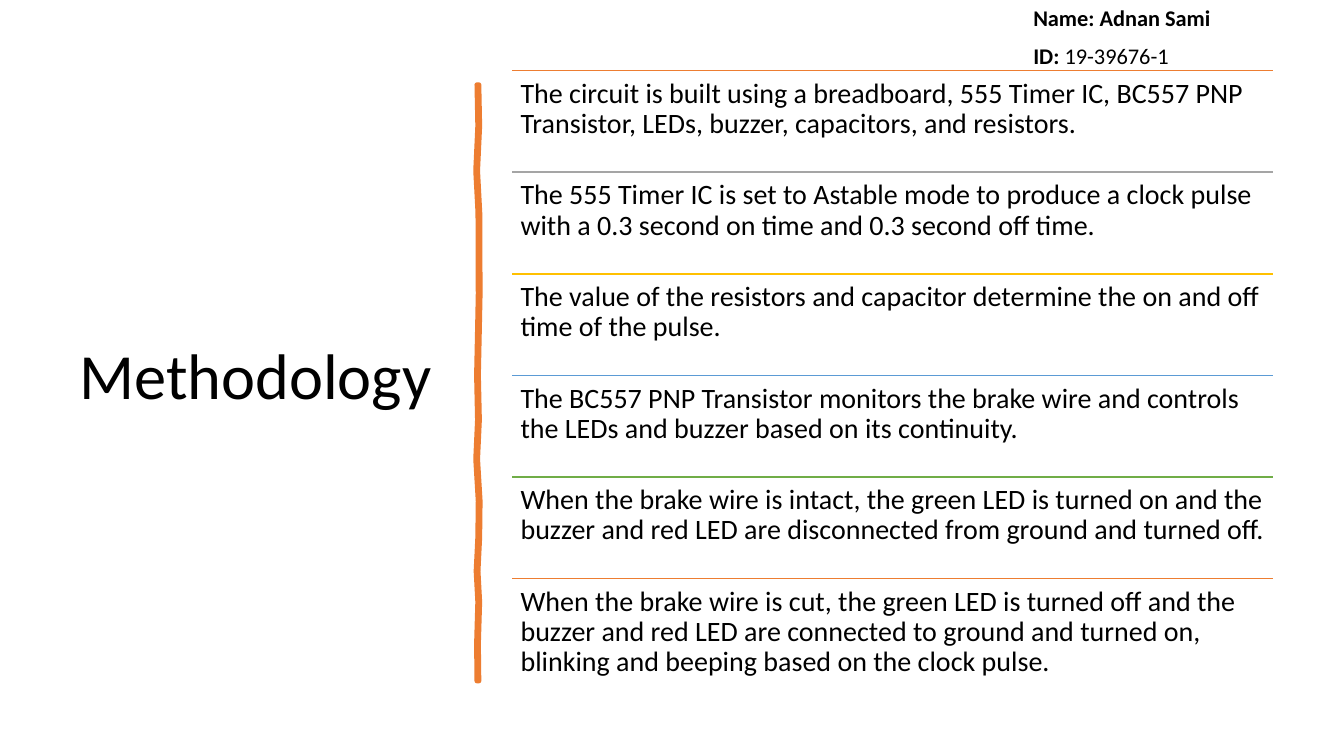
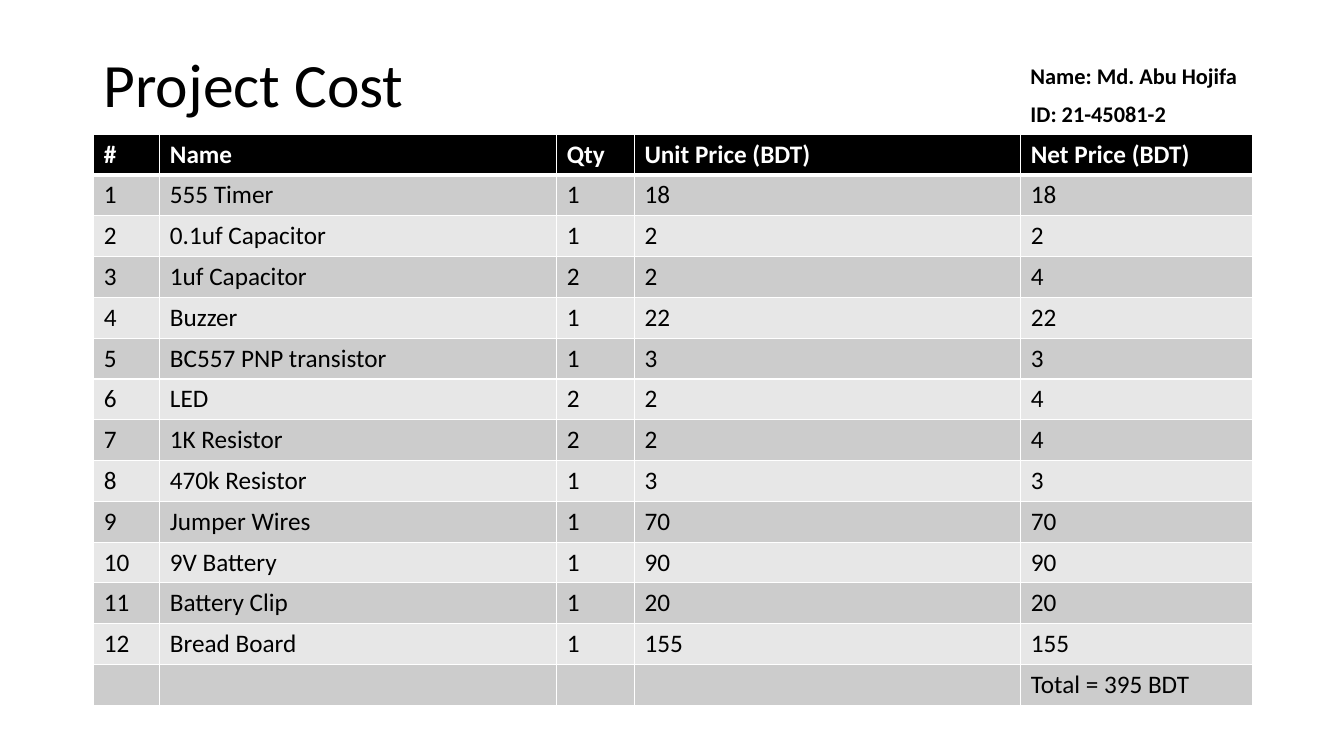
import pptx
import pptx.dml.color
import pptx.enum.shapes
import pptx.enum.text
import pptx.oxml
import pptx.oxml.ns
import pptx.util

Pt = pptx.util.Pt
ANCHOR = pptx.enum.text.MSO_ANCHOR

FONT = "Calibri"
BLACK, WHITE, ORANGE = "000000", "FFFFFF", "ED7D31"
BANDS = ("CCCCCC", "E7E7E7")

STEPS = [
    (ORANGE, "The circuit is built using a breadboard, 555 Timer IC, BC557 PNP Transistor, "
             "LEDs, buzzer, capacitors, and resistors."),
    ("A5A5A5", "The 555 Timer IC is set to Astable mode to produce a clock pulse with a "
               "0.3 second on time and 0.3 second off time."),
    ("FFC000", "The value of the resistors and capacitor determine the on and off time of the pulse."),
    ("5B9BD5", "The BC557 PNP Transistor monitors the brake wire and controls the LEDs and "
               "buzzer based on its continuity."),
    ("70AD47", "When the brake wire is intact, the green LED is turned on and the buzzer and "
               "red LED are disconnected from ground and turned off."),
    (ORANGE, "When the brake wire is cut, the green LED is turned off and the buzzer and red LED "
             "are connected to ground and turned on, blinking and beeping based on the clock pulse."),
]
STEP_LEFT, STEP_TOP, STEP_WIDTH, STEP_HEIGHT = 365.8, 50.4, 543.6, 72.6

# Brush stroke: height on the slide, sideways drift of its centre
STROKE_X, STROKE_HALF_WIDTH = 341.4, 0.8
STROKE = [(60.5, 0), (90, 0.6), (122, -0.9), (152, 0.7), (210, 0.9), (240, 0.3), (268, -0.3),
          (300, 0.4), (328, -0.9), (358, 0.9), (384, 0.6), (408, -0.6), (430, 0.6), (460, -0.3),
          (486.5, 0)]

COST_HEADER = ["#", "Name", "Qty", "Unit Price (BDT)", "Net Price (BDT)"]
PARTS = [  # name, quantity, unit price
    ("555 Timer", 1, 18),
    ("0.1uf Capacitor", 1, 2),
    ("1uf Capacitor", 2, 2),
    ("Buzzer", 1, 22),
    ("BC557 PNP transistor", 1, 3),
    ("LED", 2, 2),
    ("1K Resistor", 2, 2),
    ("470k Resistor", 1, 3),
    ("Jumper Wires", 1, 70),
    ("9V Battery", 1, 90),
    ("Battery Clip", 1, 20),
    ("Bread Board", 1, 155),
]
COLUMN_WIDTHS = [47.2, 283.5, 55.5, 276, 165.6]
ROW_HEIGHT = 29.16


def color(value):
    return pptx.dml.color.RGBColor.from_string(value)


def format_run(run, size, value=BLACK, bold=False):
    run.font.name = FONT
    run.font.size = Pt(size)
    run.font.color.rgb = color(value)
    run.font.bold = bold


def add_text(slide, box, paragraphs, size, inset=(7.2, 3.6), anchor=ANCHOR.TOP):
    """Add a text box; each paragraph is a list of (text, bold) runs."""
    frame = slide.shapes.add_textbox(*map(Pt, box)).text_frame
    frame.word_wrap = True
    frame.vertical_anchor = anchor
    frame.margin_left = frame.margin_right = Pt(inset[0])
    frame.margin_top = frame.margin_bottom = Pt(inset[1])
    for index, runs in enumerate(paragraphs):
        paragraph = frame.add_paragraph() if index else frame.paragraphs[0]
        paragraph.line_spacing = 0.9
        paragraph.space_before = Pt(10 if index else 0)
        for text, bold in runs:
            run = paragraph.add_run()
            run.text = text
            format_run(run, size, bold=bold)


def add_title(slide, box, text, size):
    add_text(slide, box, [[(text, False)]], size, anchor=ANCHOR.MIDDLE)


def add_author(slide, left, top, name, number, bold_number):
    add_text(slide, (left, top, 166, 52),
             [[("Name: " + name, True)], [("ID: ", True), (number, bold_number)]], 16)


def add_divider(slide, left, top, width, value):
    line = slide.shapes.add_connector(pptx.enum.shapes.MSO_CONNECTOR.STRAIGHT,
                                      Pt(left), Pt(top), Pt(left + width), Pt(top))
    line.line.color.rgb = color(value)
    line.line.width = Pt(1)
    line._element.spPr.append(pptx.oxml.parse_xml(
        f'<a:effectLst {pptx.oxml.ns.nsdecls("a")}/>'))


def add_brush_stroke(slide):
    right = [(STROKE_X + drift + STROKE_HALF_WIDTH, y) for y, drift in STROKE]
    left = [(STROKE_X + drift - STROKE_HALF_WIDTH, y) for y, drift in reversed(STROKE)]
    outline = [(Pt(x), Pt(y)) for x, y in right + left]
    builder = slide.shapes.build_freeform(*outline[0])
    builder.add_line_segments(outline[1:], close=True)
    stroke = builder.convert_to_shape()
    stroke.shadow.inherit = False
    stroke.fill.solid()
    stroke.fill.fore_color.rgb = color(ORANGE)
    stroke.line.color.rgb = color(ORANGE)
    stroke.line.width = Pt(3.25)
    stroke.line._get_or_add_ln().append(pptx.oxml.parse_xml(
        f'<a:round {pptx.oxml.ns.nsdecls("a")}/>'))


def set_borders(cell, top, bottom):
    """Draw white cell borders; top and bottom are widths in points."""
    for side, width in (("L", 1), ("R", 1), ("T", top), ("B", bottom)):
        cell._tc.get_or_add_tcPr().append(pptx.oxml.parse_xml(
            f'<a:ln{side} {pptx.oxml.ns.nsdecls("a")} w="{Pt(width)}"><a:solidFill>'
            f'<a:srgbClr val="{WHITE}"/></a:solidFill></a:ln{side}>'))


def add_cost_table(slide, left, top):
    rows = [COST_HEADER]
    rows += [(number, name, quantity, price, quantity * price)
             for number, (name, quantity, price) in enumerate(PARTS, 1)]
    total = sum(quantity * price for _, quantity, price in PARTS)
    rows.append(("", "", "", "", f"Total = {total} BDT"))
    table = slide.shapes.add_table(len(rows), len(COLUMN_WIDTHS), Pt(left), Pt(top),
                                   Pt(sum(COLUMN_WIDTHS)), Pt(ROW_HEIGHT * len(rows))).table
    for column, width in zip(table.columns, COLUMN_WIDTHS):
        column.width = Pt(width)
    for row_index, values in enumerate(rows):
        table.rows[row_index].height = Pt(ROW_HEIGHT)
        header = row_index == 0
        for column_index, value in enumerate(values):
            cell = table.cell(row_index, column_index)
            set_borders(cell, 3 if row_index == 1 else 1, 3 if header else 1)
            cell.fill.solid()
            cell.fill.fore_color.rgb = color(BLACK if header else BANDS[(row_index - 1) % 2])
            cell.text_frame.text = str(value)
            for run in cell.text_frame.paragraphs[0].runs:
                format_run(run, 18, WHITE if header else BLACK, header)


def build_methodology(slide):
    add_title(slide, (49.7, 50.4, 269.3, 440), "Methodology", 46)
    add_brush_stroke(slide)
    for index, (value, text) in enumerate(STEPS):
        top = STEP_TOP + index * STEP_HEIGHT
        add_divider(slide, STEP_LEFT, top, STEP_WIDTH, value)
        add_text(slide, (STEP_LEFT, top, STEP_WIDTH, STEP_HEIGHT), [[(text, False)]], 20, (6, 6))
    add_author(slide, 731, 1.4, "Adnan Sami", "19-39676-1", False)


def build_project_cost(slide):
    add_title(slide, (67, 28.8, 640, 67), "Project Cost", 44)
    add_cost_table(slide, 67, 95.8)
    add_author(slide, 729, 43.2, "Md. Abu Hojifa", "21-45081-2", True)


def main():
    presentation = pptx.Presentation()
    presentation.slide_width, presentation.slide_height = Pt(960), Pt(540)
    for build in (build_methodology, build_project_cost):
        build(presentation.slides.add_slide(presentation.slide_layouts[6]))
    presentation.save("out.pptx")


if __name__ == "__main__":
    main()
